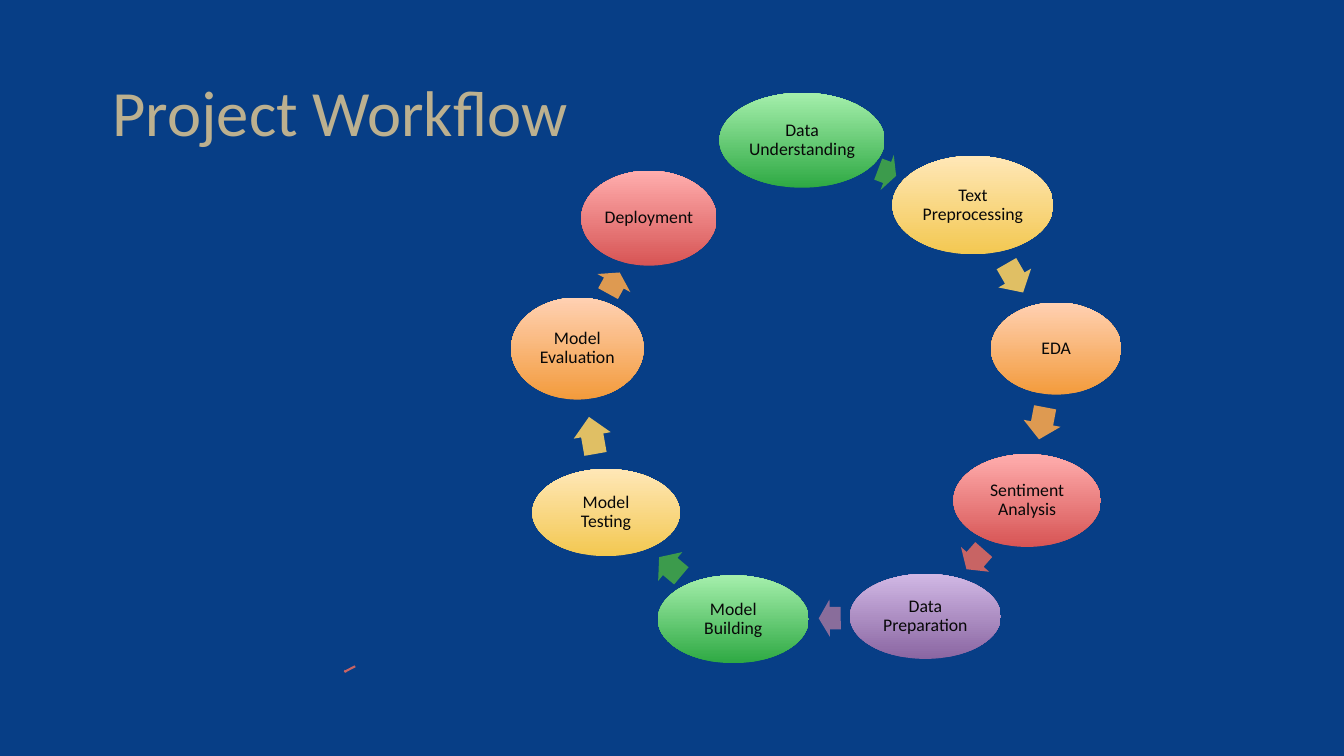
import pptx
import pptx.util
from pptx.dml.color import RGBColor
from pptx.enum.shapes import MSO_SHAPE
from pptx.enum.text import MSO_ANCHOR, PP_ALIGN

Inches = pptx.util.Inches
Pt = pptx.util.Pt

NAVY = RGBColor(0x07, 0x3E, 0x86)
SAND = RGBColor(0xBC, 0xB0, 0x8F)
INK = RGBColor(0x08, 0x08, 0x08)

# Each palette: gradient bottom, gradient top, arrow
GREEN = (RGBColor(0x2E, 0xA9, 0x43), RGBColor(0xA5, 0xEF, 0xAC), RGBColor(0x3C, 0x9B, 0x4C))
YELLOW = (RGBColor(0xF3, 0xC8, 0x51), RGBColor(0xFF, 0xE7, 0xB7), RGBColor(0xE0, 0xBF, 0x64))
ORANGE = (RGBColor(0xF3, 0x9B, 0x3C), RGBColor(0xFF, 0xD1, 0xB3), RGBColor(0xDE, 0x9A, 0x51))
RED = (RGBColor(0xD7, 0x55, 0x55), RGBColor(0xFF, 0xAD, 0xAD), RGBColor(0xC8, 0x64, 0x64))
PURPLE = (RGBColor(0x8A, 0x66, 0xA2), RGBColor(0xD1, 0xB8, 0xE5), RGBColor(0x89, 0x6D, 0x9B))

# Label, palette, ellipse (left, top, width, height),
# arrow to the next step (left, top, width, height, rotation)
STEPS = [
    ("Data Understanding", GREEN, (10.15, 1.31, 2.33, 1.34), (12.38, 2.17, 0.27, 0.53, 20.7)),
    ("Text Preprocessing", YELLOW, (12.59, 2.2, 2.27, 1.39), (14.08, 3.66, 0.47, 0.53, 60)),
    ("EDA", ORANGE, (13.98, 4.27, 1.84, 1.3), (14.47, 5.71, 0.46, 0.53, 100.8)),
    ("Sentiment Analysis", RED, (13.45, 6.41, 2.08, 1.31), (13.57, 7.63, 0.37, 0.53, 131.3)),
    ("Data Preparation", PURPLE, (11.99, 8.1, 2.13, 1.2), (11.55, 8.46, 0.31, 0.53, 179.2)),
    ("Model Building", GREEN, (9.28, 8.12, 2.13, 1.24), (9.25, 7.73, 0.41, 0.53, 220)),
    ("Model Testing", YELLOW, (7.51, 6.62, 2.08, 1.23), (8.09, 5.88, 0.53, 0.53, 260)),
    ("Model Evaluation", ORANGE, (7.21, 4.2, 1.87, 1.44), (8.49, 3.73, 0.34, 0.53, 298.8)),
    ("Deployment", RED, (8.2, 2.41, 1.91, 1.34), (4.84, 9.42, 0.18, 0.05, 153)),
]


class WorkflowSlide:
    font = "Calibri"

    def __init__(self, prs):
        self.slide = prs.slides.add_slide(prs.slide_layouts[6])
        fill = self.slide.background.fill
        fill.solid()
        fill.fore_color.rgb = NAVY

    def set_text(self, sp, text, size, color, inset):
        """Put one centred paragraph into a shape."""
        tf = sp.text_frame
        tf.word_wrap = True
        tf.vertical_anchor = MSO_ANCHOR.MIDDLE
        tf.margin_left = tf.margin_right = Inches(inset)
        tf.margin_top = tf.margin_bottom = Inches(inset)
        p = tf.paragraphs[0]
        p.text = text
        p.alignment = PP_ALIGN.CENTER
        p.font.name = self.font
        p.font.size = Pt(size)
        p.font.color.rgb = color
        return p

    def title(self, text, box):
        sp = self.slide.shapes.add_textbox(*map(Inches, box))
        self.set_text(sp, text, 65.6, SAND, 0.06)

    def shape(self, kind, box):
        """Add a preset shape without outline or shadow."""
        sp = self.slide.shapes.add_shape(kind, *map(Inches, box))
        sp.shadow.inherit = False
        sp.line.fill.background()
        return sp

    def ellipse(self, text, box, bottom, top):
        sp = self.shape(MSO_SHAPE.OVAL, box)
        sp.fill.gradient()
        sp.fill.gradient_angle = 90
        for stop, color in zip(sp.fill.gradient_stops, (bottom, top)):
            stop.color.rgb = color
        p = self.set_text(sp, text, 18, INK, 0.03)
        p.line_spacing = 0.9

    def arrow(self, box, rotation, color):
        sp = self.shape(MSO_SHAPE.RIGHT_ARROW, box)
        sp.adjustments[0] = 0.6
        sp.adjustments[1] = 0.5
        sp.rotation = rotation
        sp.fill.solid()
        sp.fill.fore_color.rgb = color


def main():
    prs = pptx.Presentation()
    prs.slide_width = Inches(18.96)
    prs.slide_height = Inches(10.67)
    s = WorkflowSlide(prs)
    s.title("Project Workflow", (1.32, 0.84, 6.96, 1.44))
    for label, (bottom, top, arrow_color), oval, (*arrow_box, rotation) in STEPS:
        s.ellipse(label, oval, bottom, top)
        s.arrow(arrow_box, rotation, arrow_color)
    prs.save("out.pptx")


if __name__ == "__main__":
    main()
